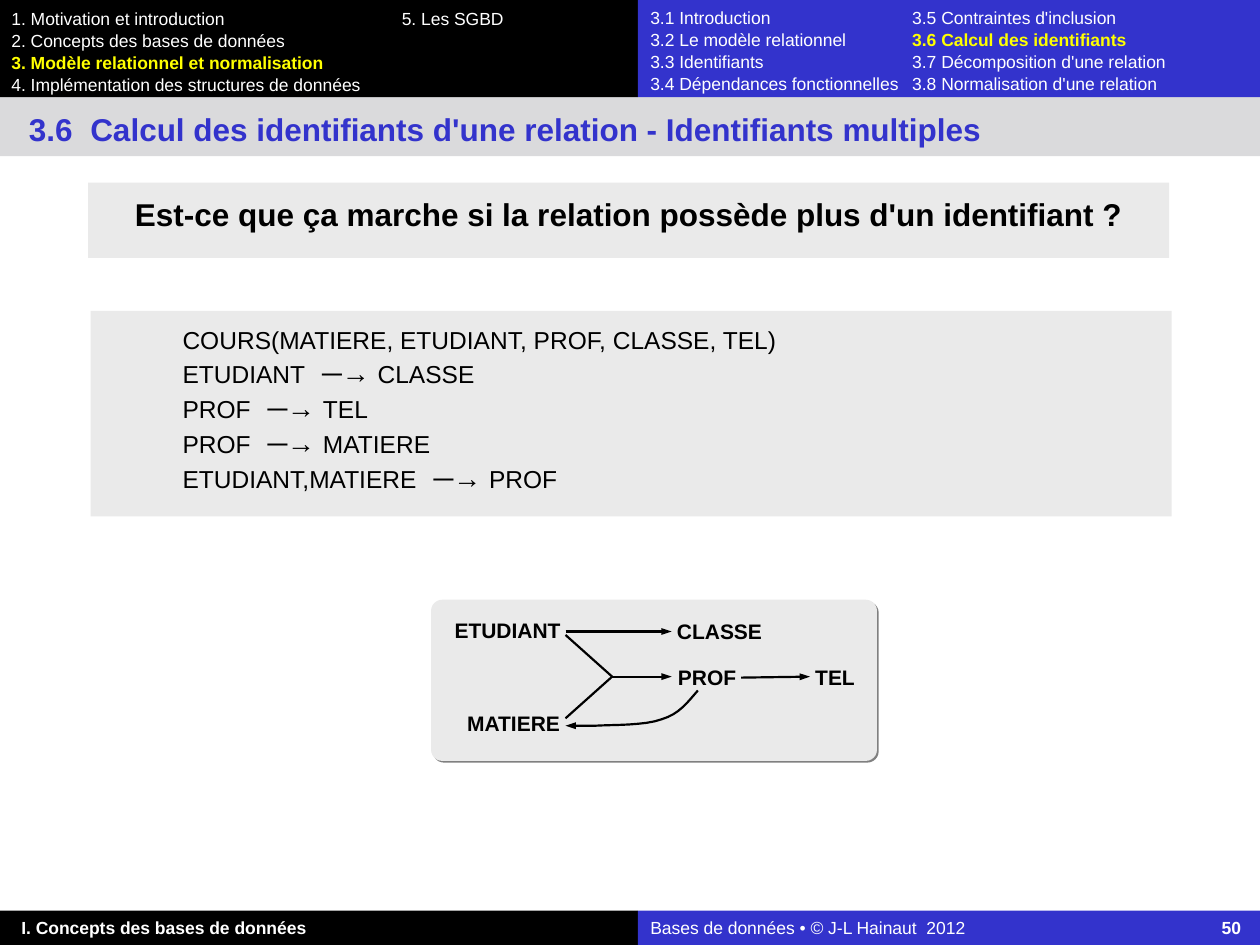
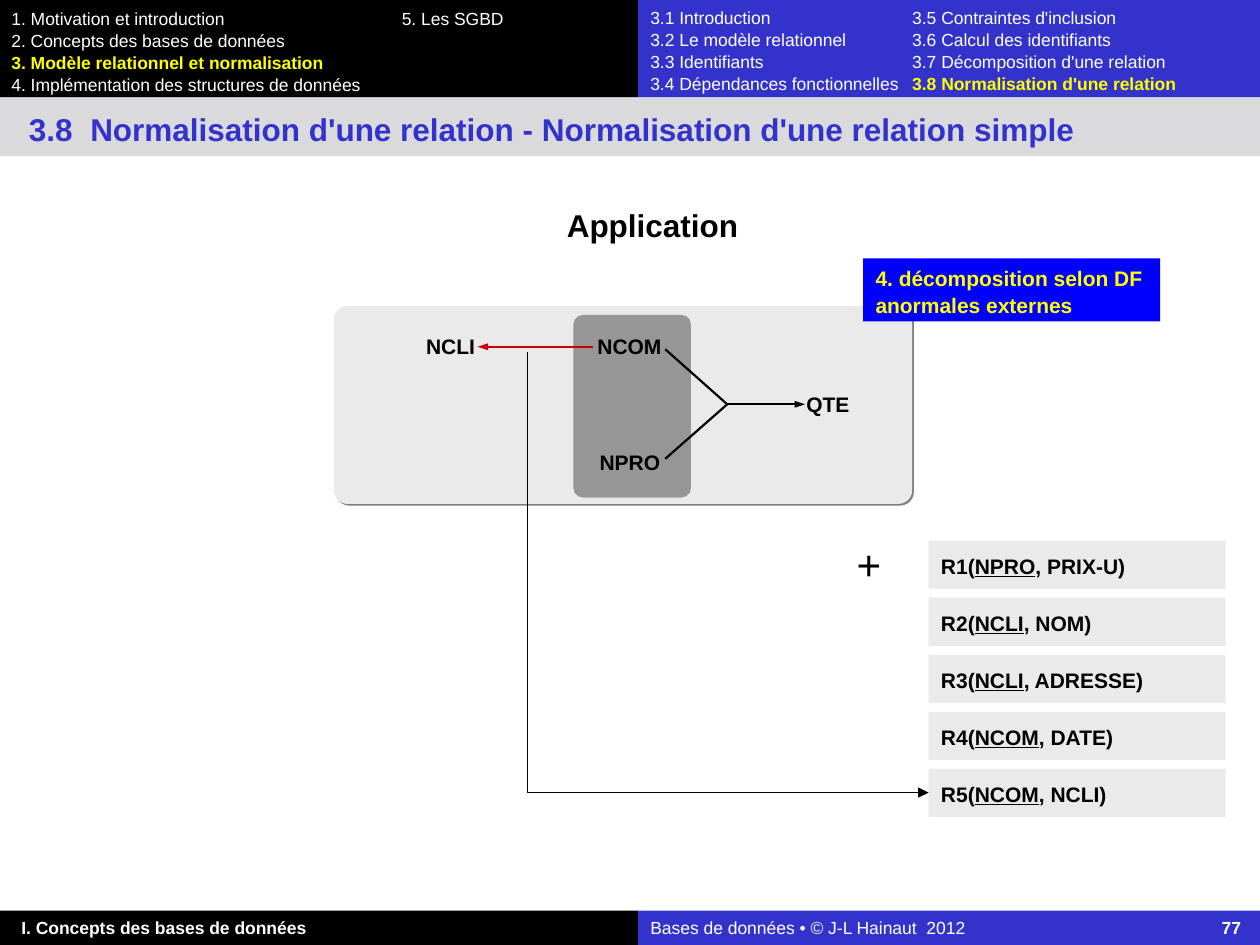
from lxml import etree
from pptx import Presentation
from pptx.dml import color as dml
from pptx.enum import shapes, text
from pptx.oxml import ns
from pptx.util import Cm, Pt

# Theme: colours, fonts and type sizes
T = dict(
    black="000000", white="FFFFFF", blue="3333CC", band="DADADC", panel="EAEAEA",
    dark="969696", shade="808080", mark="FFFF00", call="0000FF", red="CC0000",
    font="Arial", mono="Courier New",
    small=10, label=12, body=14, arrow=16, head=18, plus=24,
)
RECT = shapes.MSO_SHAPE.RECTANGLE
ROUND = shapes.MSO_SHAPE.ROUNDED_RECTANGLE
MID = text.MSO_ANCHOR.MIDDLE
CENTER = text.PP_ALIGN.CENTER
STRAIGHT = shapes.MSO_CONNECTOR.STRAIGHT
HOT = dict(color=T["mark"], bold=True)


def box(shape, at, lines=(), fill=None, ins=(0.25, 0.13), tab=None, side="l",
        align=None, anchor=text.MSO_ANCHOR.TOP, wrap=True, **base):
    """Place a shape in cm and write lines, each a list of (text, format) runs."""
    for key, val in zip(("left", "top", "width", "height"), at):
        setattr(shape, key, Cm(val))
    if fill:
        shape.fill.solid()
        shape.fill.fore_color.rgb = dml.RGBColor.from_string(fill)
        shape.line.fill.background()
        shape.shadow.inherit = False
    frame = shape.text_frame
    look = dict(margin_left=Cm(ins[0]), margin_right=Cm(min(ins[0], 0.25)),
                margin_top=Cm(ins[1]), margin_bottom=Cm(0), word_wrap=wrap,
                vertical_anchor=anchor, auto_size=text.MSO_AUTO_SIZE.NONE)
    for key, val in look.items():
        setattr(frame, key, val)
    for num, line in enumerate(lines):
        para = frame.add_paragraph() if num else frame.paragraphs[0]
        para.alignment = align or text.PP_ALIGN.LEFT
        if len(lines) > 1:
            para.line_spacing = 1.04
        if tab:
            tabs = etree.SubElement(para._p.get_or_add_pPr(), ns.qn("a:tabLst"))
            etree.SubElement(tabs, ns.qn("a:tab"), pos=str(Cm(tab)), algn=side)
        for words, extra in line:
            run = para.add_run()
            run.text = words
            fmt = dict(name=T["font"], size=T["label"], color=T["black"], bold=False)
            fmt |= base | extra
            run.font.color.rgb = dml.RGBColor.from_string(fmt.pop("color"))
            fmt["size"] = Pt(fmt["size"])
            for key, val in fmt.items():
                setattr(run.font, key, val)
    return shape


def ink(line, end=None, color=T["black"], width=1.25, wide="sm"):
    """Style a connector or an open outline; end is headEnd or tailEnd."""
    line.line.color.rgb = dml.RGBColor.from_string(color)
    line.line.width = Pt(width)
    if end:
        etree.SubElement(line.line._get_or_add_ln(), ns.qn("a:" + end),
                         type="triangle", w=wide, len="med")
    props = line._element.spPr
    if props.find(ns.qn("a:effectLst")) is None:
        etree.SubElement(props, ns.qn("a:effectLst"))


prs = Presentation()
prs.slide_width, prs.slide_height = Cm(25.4), Cm(19.05)

# Frame shared by both slides: menus, title band, footers
parts = ["1. Motivation et introduction", "2. Concepts des bases de données",
         "3. Modèle relationnel et normalisation",
         "4. Implémentation des structures de données", "5. Les SGBD"]
topics = ["3.1 Introduction", "3.2 Le modèle relationnel", "3.3 Identifiants",
          "3.4 Dépendances fonctionnelles", "3.5 Contraintes d'inclusion",
          "3.6 Calcul des identifiants", "3.7 Décomposition d'une relation",
          "3.8 Normalisation d'une relation"]
heads = [
    ("3.6", "Calcul des identifiants d'une relation - Identifiants multiples", "50"),
    ("3.8", "Normalisation d'une relation - Normalisation d'une relation simple", "77"),
]
pages = []
for sect, name, page in heads:
    slide = prs.slides.add_slide(prs.slide_layouts[5])
    s = slide.shapes
    pages.append(s)
    box(s.title, (0, 1.96, 25.4, 1.19), [[(f"{sect}\t{name}", {})]], T["band"],
        ins=(0.58, 0.25), tab=1.24, size=T["head"], color=T["blue"], bold=True)
    menus = [(0, 12.86, T["black"], parts, "3.", 7.87, (0.23, 0.15)),
             (12.86, 12.54, T["blue"], topics, sect, 5.28, (0.25, 0.13))]
    for x, w, fill, items, now, tab, ins in menus:
        rows = [[(item, HOT if item.startswith(now) else {})] for item in items[:4]]
        for row, item in zip(rows, items[4:]):
            row += [("\t", {}), (item, HOT if item.startswith(now) else {})]
        box(s.add_shape(RECT, 0, 0, 0, 0), (x, 0, w, 1.96), rows, fill, ins=ins,
            tab=tab, size=T["small"], color=T["white"])
    foots = [
        (0, 12.86, T["black"], 0.43, [("I. Concepts des bases de données", dict(bold=True))]),
        (12.86, 12.54, T["blue"], 0.25,
         [("Bases de données • © J-L Hainaut  2012", {}), ("\t" + page, dict(bold=True))]),
    ]
    for x, w, fill, gap, runs in foots:
        box(s.add_shape(RECT, 0, 0, 0, 0), (x, 18.36, w, 0.69), [runs], fill,
            ins=(gap, 0.13), tab=11.91, side="r", size=T["small"], color=T["white"])
one, two = pages

# Slide 1: question and relation with its dependencies
box(one.add_shape(RECT, 0, 0, 0, 0), (1.78, 3.68, 21.79, 1.52),
    [[("Est-ce que ça marche si la relation possède plus d'un identifiant ?", {})]],
    T["panel"], ins=(0.25, 0.25), align=CENTER, size=T["head"], bold=True)
deps = [("ETUDIANT", "CLASSE"), ("PROF", "TEL"), ("PROF", "MATIERE"),
        ("ETUDIANT,MATIERE", "PROF")]
rows = [[("COURS(MATIERE, ETUDIANT, PROF, CLASSE, TEL)", {})]]
for src, dst in deps:
    rows.append([(src, {}), (" ", dict(name=T["mono"], size=T["arrow"])),
                 ("─→ ", dict(size=T["arrow"])), (dst, {})])
box(one.add_shape(RECT, 0, 0, 0, 0), (1.83, 6.27, 21.79, 4.14), rows, T["panel"],
    ins=(1.85, 0.25), size=T["body"])

# Slide 2: heading
box(two.add_textbox(0, 0, 0, 0), (2.26, 3.91, 21.79, 1.27), [[("Application", {})]],
    ins=(0.25, 0.25), align=CENTER, size=T["head"], bold=True)

# Dependency graphs: panel, key block, labels (x, y, width), lines
graphs = [
    (one, (8.69, 12.09, 8.99, 3.25), None,
     [("TEL", 16.43, 13.39, 0.81), ("ETUDIANT", 9.17, 12.45, 2.13),
      ("MATIERE", 9.4, 14.33, 1.91), ("CLASSE", 13.64, 12.47, 1.73),
      ("PROF", 13.67, 13.39, 1.17)],
     [(11.4, 12.8, 12.34, 13.64, None, "black"), (12.34, 13.64, 11.4, 14.48, None, "black"),
      (12.34, 13.64, 13.54, 13.64, "tailEnd", "black"),
      (11.4, 12.73, 13.54, 12.73, "tailEnd", "black"),
      (14.94, 13.66, 16.33, 13.64, "tailEnd", "black")]),
    (two, (6.73, 6.17, 11.66, 3.99), (11.56, 6.35, 2.37, 3.68),
     [("NCLI", 8.59, 6.73, 0.99), ("NCOM", 12.04, 6.73, 1.3),
      ("NPRO", 12.09, 9.07, 1.22), ("QTE", 16.26, 7.9, 0.86)],
     [(13.41, 7.04, 14.66, 8.15, None, "black"), (14.66, 8.15, 13.41, 9.25, None, "black"),
      (14.66, 8.15, 16.23, 8.15, "tailEnd", "black"),
      (11.96, 6.99, 9.63, 6.99, "tailEnd", "red")]),
]
for s, area, key, names, lines in graphs:
    panel = box(s.add_shape(ROUND, 0, 0, 0, 0), area, fill=T["panel"])
    panel.adjustments[0] = 0.07
    fx = panel._element.spPr.find(ns.qn("a:effectLst"))
    cast = etree.SubElement(fx, ns.qn("a:outerShdw"), dist=str(Pt(1.4)), dir="2700000",
                            algn="ctr", rotWithShape="0")
    etree.SubElement(cast, ns.qn("a:srgbClr"), val=T["shade"])
    if key:
        block = box(s.add_shape(ROUND, 0, 0, 0, 0), key, fill=T["dark"])
        block.adjustments[0] = 0.08
    for name, x, y, w in names:
        box(s.add_textbox(0, 0, 0, 0), (x, y, w, 0.51), [[(name, {})]], ins=(0, 0),
            align=CENTER, anchor=MID, wrap=False, bold=True)
    for x1, y1, x2, y2, end, hue in lines:
        ink(s.add_connector(STRAIGHT, Cm(x1), Cm(y1), Cm(x2), Cm(y2)), end, T[hue])

# Slide 1: curved arrow from PROF back to MATIERE, as cubic arcs
knots = [(14.07, 13.92), (13.87, 14.15), (13.69, 14.4), (13.34, 14.5), (13, 14.63),
         (12.34, 14.61), (12.01, 14.63), (11.68, 14.63), (11.53, 14.63), (11.4, 14.63)]
curve = []
for at in range(0, 9, 3):
    for step in range(1, 9):
        t = step / 8
        mix = ((1 - t) ** 3, 3 * t * (1 - t) ** 2, 3 * t * t * (1 - t), t ** 3)
        curve.append([Cm(sum(m * k[axis] for m, k in zip(mix, knots[at:at + 4])))
                      for axis in (0, 1)])
pen = one.build_freeform(Cm(knots[0][0]), Cm(knots[0][1]))
pen.add_line_segments(curve, close=False)
back = pen.convert_to_shape()
back.fill.background()
back.shadow.inherit = False
ink(back, "tailEnd")

# Slide 2: resulting relations
rels = [("NPRO", "PRIX-U"), ("NCLI", "NOM"), ("NCLI", "ADRESSE"), ("NCOM", "DATE"),
        ("NCOM", "NCLI")]
for num, (key, attr) in enumerate(rels):
    box(two.add_shape(RECT, 0, 0, 0, 0), (18.72, 10.9 + 1.15 * num, 5.99, 0.97),
        [[(f"R{num + 1}(", {}), (key, dict(underline=True)), (f", {attr})", {})]],
        T["panel"], ins=(0.25, 0.25), bold=True)
box(two.add_textbox(0, 0, 0, 0), (17.02, 10.72, 0.99, 1.27), [[("+", {})]],
    wrap=False, size=T["plus"])

# Slide 2: step callout and bent arrow to R5
box(two.add_shape(RECT, 0, 0, 0, 0), (17.4, 5.21, 5.99, 1.27),
    [[("4. décomposition selon DF", {})], [("anormales externes", {})]],
    T["call"], **HOT)
bend = two.add_connector(shapes.MSO_CONNECTOR.ELBOW, Cm(18.72), Cm(15.98), Cm(10.64), Cm(7.09))
bend._element.spPr.find(ns.qn("a:prstGeom")).set("prst", "bentConnector2")
ink(bend, "headEnd", width=0.75, wide="med")

prs.save("out.pptx")
